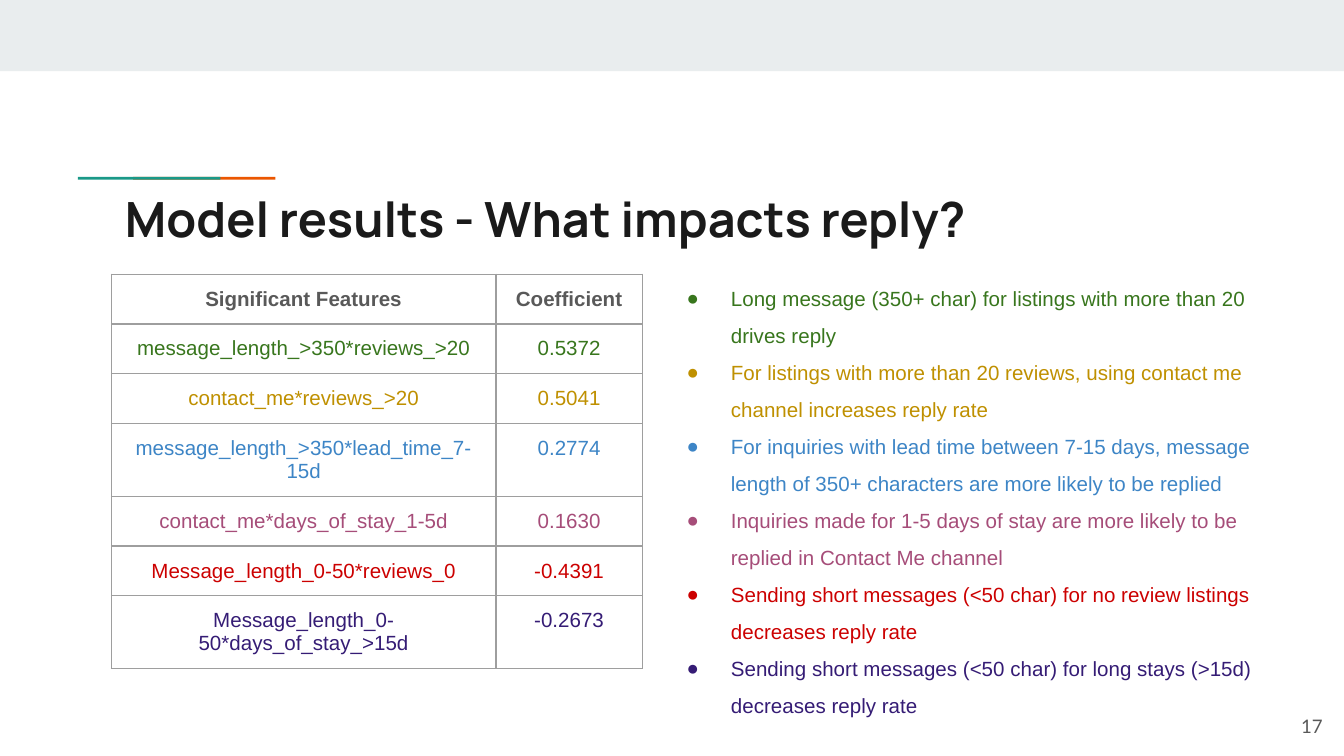
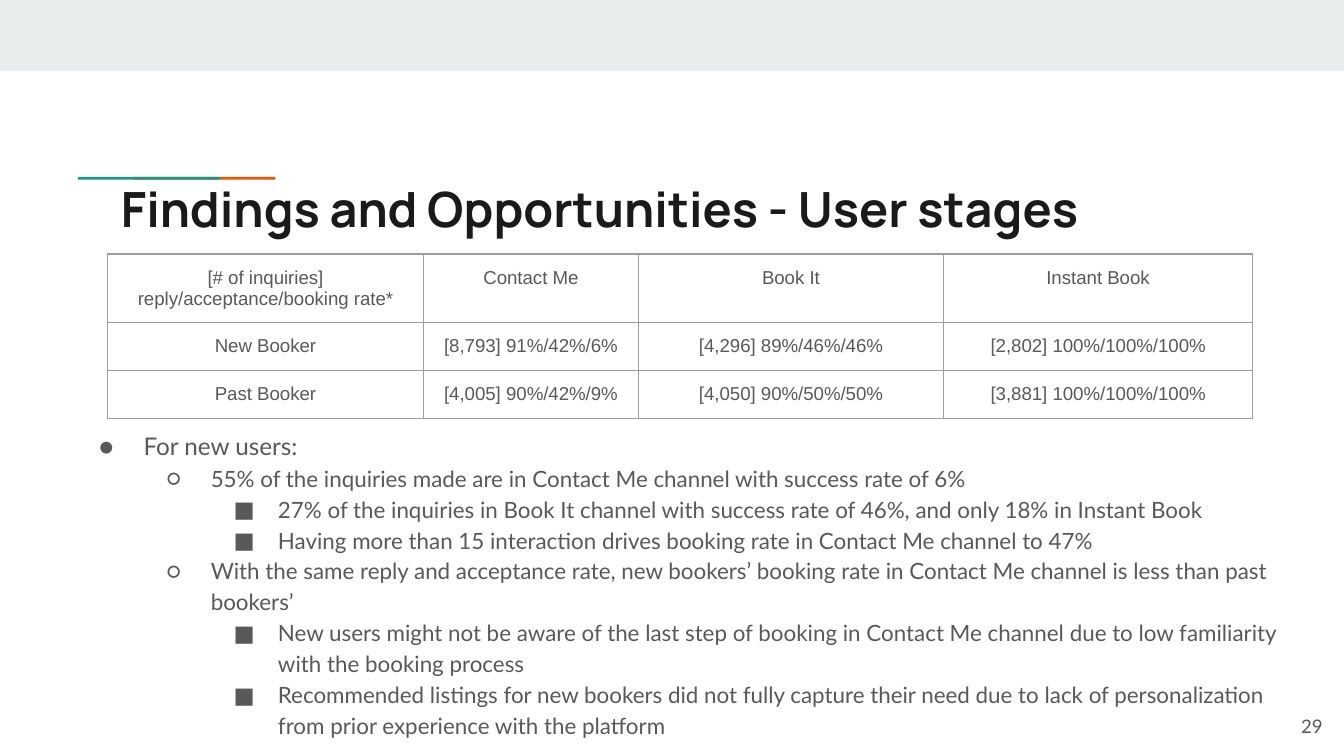
from lxml import etree
from pptx import Presentation
from pptx import util as u
from pptx.dml.color import RGBColor
from pptx.enum import shapes, text
from pptx.oxml import ns

BAND = RGBColor(0xE9, 0xED, 0xEE)
ORANGE = RGBColor(0xEB, 0x56, 0x00)
TEAL = RGBColor(0x1A, 0x99, 0x88)
INK = RGBColor(0x1A, 0x1A, 0x1A)
GRAY = RGBColor(0x59, 0x59, 0x59)
BORDER = RGBColor(0x9E, 0x9E, 0x9E)
GREEN = RGBColor(0x38, 0x76, 0x1D)
GOLD = RGBColor(0xBF, 0x90, 0x00)
BLUE = RGBColor(0x3D, 0x85, 0xC6)
PLUM = RGBColor(0xA6, 0x4D, 0x79)
RED = RGBColor(0xCC, 0x00, 0x00)
INDIGO = RGBColor(0x35, 0x1C, 0x75)

TITLE_FONT, BODY_FONT, DATA_FONT = "Manrope", "Lato", "Arial"
BULLETS = "●○■"
COLUMNS = 100  # square grid cells across the slide


class Deck:
    """Holds the shared style and the current slide; lengths are grid cells."""

    def __init__(self):
        self.prs = Presentation()
        self.prs.slide_width = u.Inches(10)
        self.prs.slide_height = self.prs.slide_width * 9 // 16
        self.cell = self.prs.slide_width // COLUMNS
        self.s = None

    def grid(self, *cells):
        return [u.Emu(round(n * self.cell)) for n in cells]

    def slide(self, title, title_box, number):
        self.s = self.prs.slides.add_slide(self.prs.slide_layouts[5])
        self.bar((0, 0, COLUMNS, 5.3), BAND)
        self.bar((9.9, 13.17, 10.6, 0.2), ORANGE)
        self.bar((5.8, 13.17, 10.6, 0.2), TEAL)
        sp = self.s.shapes.title
        sp.left, sp.top, sp.width, sp.height = self.grid(*title_box)
        tf = self.frame(sp)
        tf.paragraphs[0].alignment = text.PP_ALIGN.LEFT
        self.run(tf.paragraphs[0], title, TITLE_FONT, 26, INK, True)
        tf = self.textbox((93.4, 51.9, 6, 4.3))
        tf.vertical_anchor = text.MSO_ANCHOR.MIDDLE
        tf.paragraphs[0].alignment = text.PP_ALIGN.RIGHT
        self.run(tf.paragraphs[0], str(number), BODY_FONT, 10, GRAY)

    def bar(self, box, color):
        sp = self.s.shapes.add_shape(shapes.MSO_SHAPE.RECTANGLE, *self.grid(*box))
        sp.shadow.inherit = False
        sp.fill.solid()
        sp.fill.fore_color.rgb = color
        sp.line.fill.background()

    def frame(self, sp):
        """Set the common insets, wrapping and top anchor."""
        tf = sp.text_frame
        tf.word_wrap = True
        tf.auto_size = text.MSO_AUTO_SIZE.NONE
        tf.vertical_anchor = text.MSO_ANCHOR.TOP
        inset, = self.grid(1)
        tf.margin_left = tf.margin_right = tf.margin_top = tf.margin_bottom = inset
        return tf

    def textbox(self, box):
        return self.frame(self.s.shapes.add_textbox(*self.grid(*box)))

    def run(self, p, words, font, size, color, bold=False):
        r = p.add_run()
        r.text = words
        r.font.name, r.font.size, r.font.bold = font, u.Pt(size), bold
        r.font.color.rgb = color

    def bullets(self, box, items, font, spacing):
        """Add a bulleted list of (level, words, size, color) items."""
        tf = self.textbox(box)
        for i, (level, words, size, color) in enumerate(items):
            p = tf.add_paragraph() if i else tf.paragraphs[0]
            p.level = level
            p.line_spacing = spacing
            pPr = p._p.get_or_add_pPr()
            margin, hang = self.grid(5 * (level + 1), 3.3)
            pPr.set("marL", str(margin))
            pPr.set("indent", str(-hang))
            buClr = etree.SubElement(pPr, ns.qn("a:buClr"))
            etree.SubElement(buClr, ns.qn("a:srgbClr"), val=str(color))
            etree.SubElement(pPr, ns.qn("a:buFont"), typeface=font)
            etree.SubElement(pPr, ns.qn("a:buChar"), char=BULLETS[level])
            self.run(p, words, font, size, color)

    def table(self, corner, widths, heights, rows, size, colors, bold_header=False):
        box = self.grid(*corner, sum(widths), sum(heights))
        tbl = self.s.shapes.add_table(len(rows), len(widths), *box).table
        tbl.first_row = tbl.horz_banding = False
        for column, width in zip(tbl.columns, self.grid(*widths)):
            column.width = width
        for row, height in zip(tbl.rows, self.grid(*heights)):
            row.height = height
        inset, = self.grid(1)
        for i, row in enumerate(rows):
            for j, words in enumerate(row):
                c = tbl.cell(i, j)
                c.margin_left = c.margin_right = c.margin_top = c.margin_bottom = inset
                self.borders(c)
                c.fill.background()
                p = c.text_frame.paragraphs[0]
                p.alignment = text.PP_ALIGN.CENTER
                self.run(p, words, DATA_FONT, size, colors[i], bold_header and i == 0)

    def borders(self, c):
        tcPr = c._tc.get_or_add_tcPr()
        for side in ("lnL", "lnR", "lnT", "lnB"):
            ln = etree.SubElement(tcPr, ns.qn("a:" + side), w=str(u.Pt(0.75)))
            fill = etree.SubElement(ln, ns.qn("a:solidFill"))
            etree.SubElement(fill, ns.qn("a:srgbClr"), val=str(BORDER))


def model_results(deck):
    deck.slide("Model results - What impacts reply?", (8.3, 13.1, 84.1, 5.9), 17)
    findings = [
        (GREEN, "message_length_>350*reviews_>20", "0.5372",
         "Long message (350+ char) for listings with more than 20 drives reply"),
        (GOLD, "contact_me*reviews_>20", "0.5041",
         "For listings with more than 20 reviews, using contact me channel "
         "increases reply rate"),
        (BLUE, "message_length_>350*lead_time_7-15d", "0.2774",
         "For inquiries with lead time between 7-15 days, message length of "
         "350+ characters are more likely to be replied"),
        (PLUM, "contact_me*days_of_stay_1-5d", "0.1630",
         "Inquiries made for 1-5 days of stay are more likely to be replied "
         "in Contact Me channel"),
        (RED, "Message_length_0-50*reviews_0", "-0.4391",
         "Sending short messages (<50 char) for no review listings decreases "
         "reply rate"),
        (INDIGO, "Message_length_0-50*days_of_stay_>15d", "-0.2673",
         "Sending short messages (<50 char) for long stays (>15d) decreases "
         "reply rate"),
    ]
    rows = [("Significant Features", "Coefficient")]
    rows += [(feature, value) for _, feature, value, _ in findings]
    colors = [GRAY] + [color for color, *_ in findings]
    deck.table((8.3, 20.4), (28.6, 10.9), [3.6] * len(rows), rows, 11, colors, True)
    items = [(0, meaning, 11, color) for color, _, _, meaning in findings]
    deck.bullets((48.4, 19.4, 49.3, 33.7), items, DATA_FONT, 1.5)


def user_stages(deck):
    deck.slide("Findings and Opportunities - User stages", (8, 12.3, 84.1, 5.1), 29)
    notes = [
        (0, "For new users:"),
        (1, "55% of the inquiries made are in Contact Me channel with success "
            "rate of 6%"),
        (2, "27% of the inquiries in Book It channel with success rate of 46%, "
            "and only 18% in Instant Book"),
        (2, "Having more than 15 interaction drives booking rate in Contact Me "
            "channel to 47%"),
        (1, "With the same reply and acceptance rate, new bookers’ booking rate "
            "in Contact Me channel is less than past bookers’"),
        (2, "New users might not be aware of the last step of booking in Contact "
            "Me channel due to low familiarity with the booking process"),
        (2, "Recommended listings for new bookers did not fully capture their "
            "need due to lack of personalization from prior experience with the "
            "platform"),
    ]
    items = [(level, words, 12 if level else 13, GRAY) for level, words in notes]
    deck.bullets((4.7, 30.8, 93.3, 11), items, BODY_FONT, 1.15)
    rows = [
        ("[# of inquiries] reply/acceptance/booking rate*",
         "Contact Me", "Book It", "Instant Book"),
        ("New Booker", "[8,793] 91%/42%/6%", "[4,296] 89%/46%/46%",
         "[2,802] 100%/100%/100%"),
        ("Past Booker", "[4,005] 90%/42%/9%", "[4,050] 90%/50%/50%",
         "[3,881] 100%/100%/100%"),
    ]
    deck.table((8, 18.9), (23.5, 16, 22.7, 23), (3.8, 3.1, 2.8), rows, 10,
               [GRAY] * len(rows))


def main():
    deck = Deck()
    model_results(deck)
    user_stages(deck)
    deck.prs.save("out.pptx")


if __name__ == "__main__":
    main()
